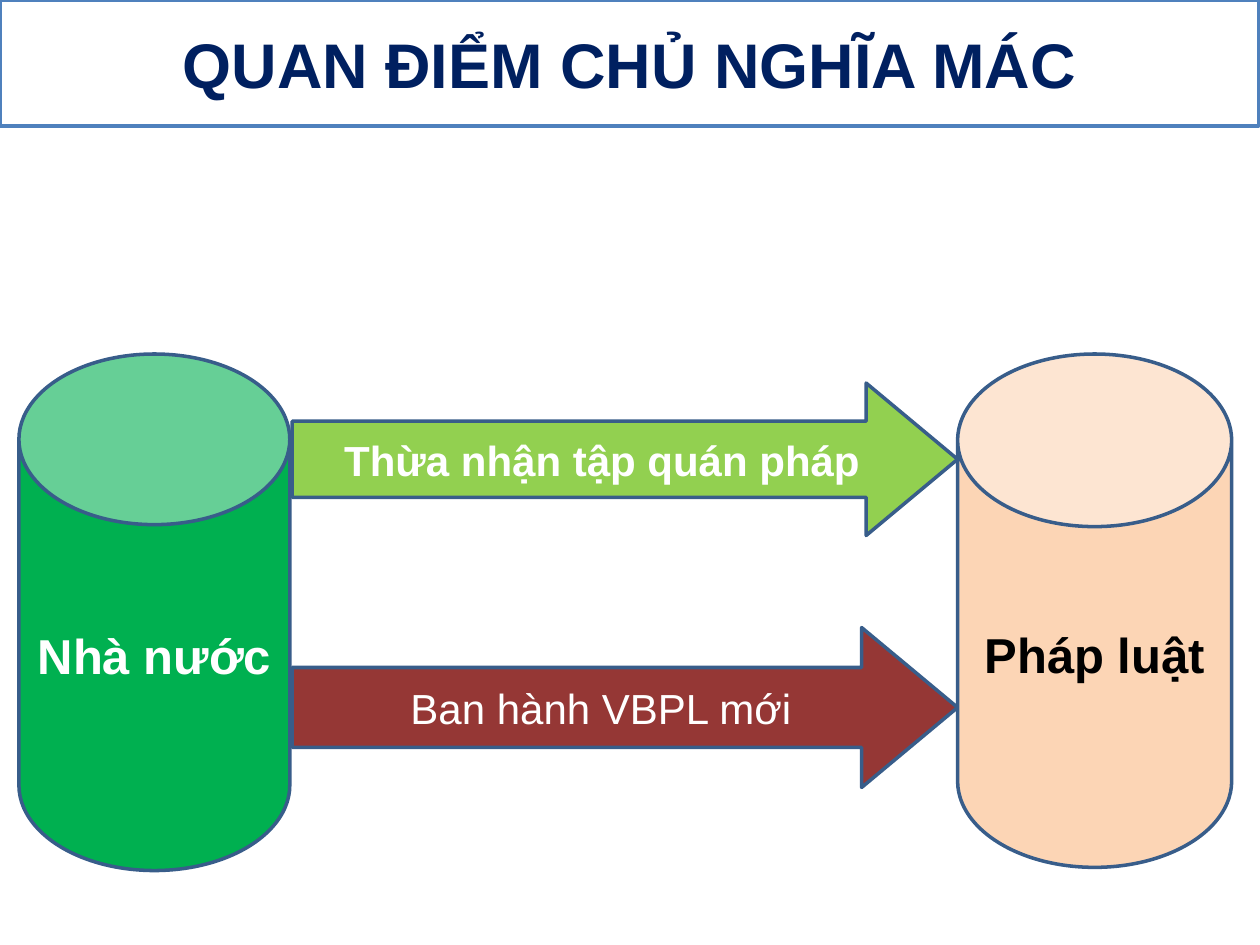
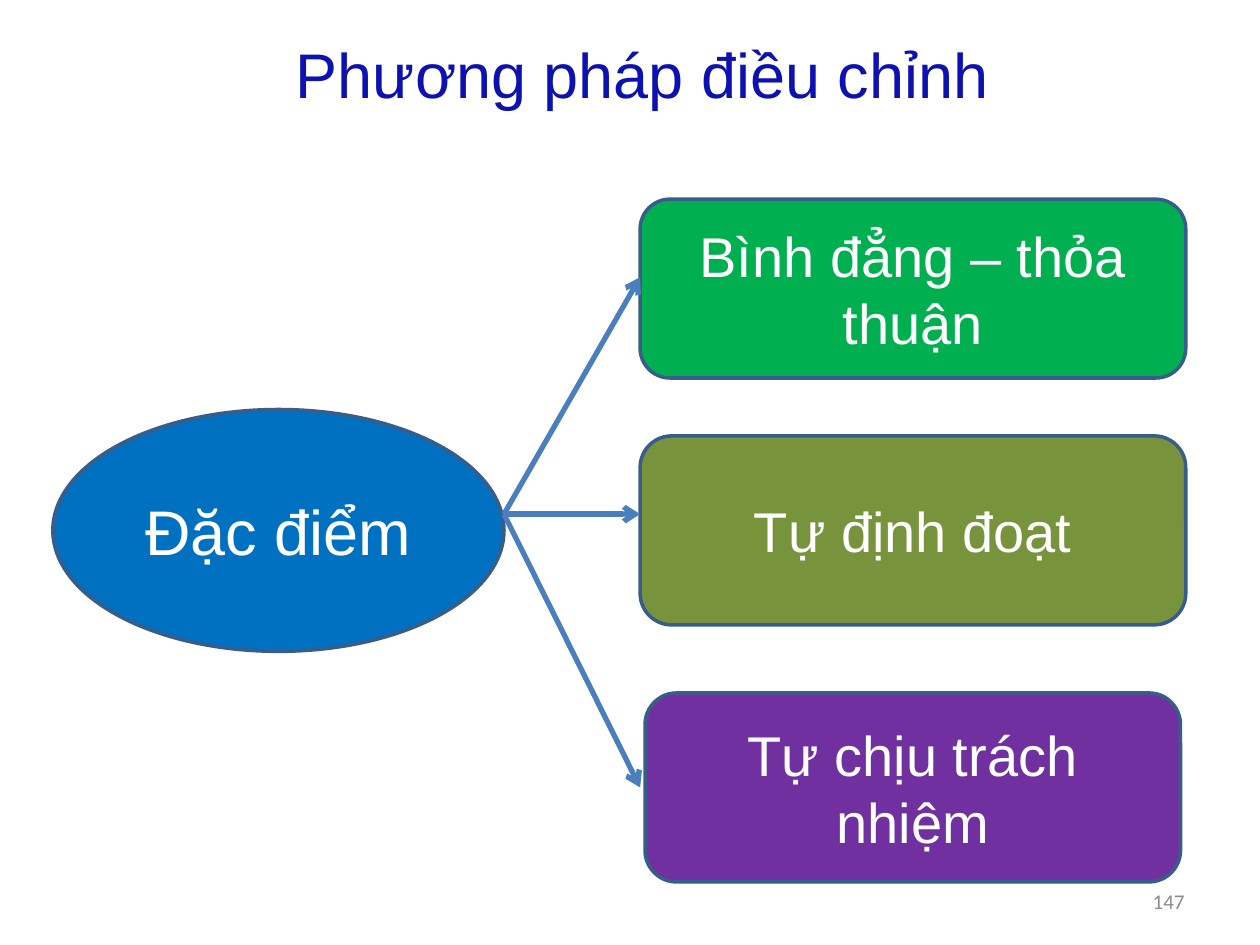
from lxml import etree
from pptx import Presentation
from pptx.dml.color import RGBColor
from pptx.enum.shapes import MSO_CONNECTOR, MSO_SHAPE
from pptx.enum.text import MSO_ANCHOR, PP_ALIGN
from pptx.oxml.ns import qn
from pptx.util import Pt

RECTANGLE = MSO_SHAPE.RECTANGLE
ROUNDED = MSO_SHAPE.ROUNDED_RECTANGLE
ELLIPSE = MSO_SHAPE.OVAL
CYLINDER = MSO_SHAPE.CAN
BLOCK_ARROW = MSO_SHAPE.RIGHT_ARROW
STRAIGHT = MSO_CONNECTOR.STRAIGHT
TOP, MIDDLE = MSO_ANCHOR.TOP, MSO_ANCHOR.MIDDLE
LEFT, CENTER, RIGHT = PP_ALIGN.LEFT, PP_ALIGN.CENTER, PP_ALIGN.RIGHT

COLORS = {
    "white": "FFFFFF", "black": "000000", "navy": "002060", "title": "0D11AF",
    "grey": "8C8C8C", "green": "00B050", "lime": "92D050", "maroon": "953735",
    "peach": "FCD5B5", "blue": "0070C0", "olive": "77933C", "purple": "7030A0",
    "frame": "4F81BD", "outline": "385D8A", "connector": "4B7EBC",
}


def color(name):
    """Return the named palette colour."""
    return RGBColor.from_string(COLORS[name])


def write_text(shape, text, size=32, ink="white", bold=False, font="Arial",
               align=CENTER, anchor=MIDDLE, wrap=True):
    """Write one formatted paragraph into a shape."""
    frame = shape.text_frame
    frame.word_wrap = wrap
    frame.vertical_anchor = anchor
    para = frame.paragraphs[0]
    para.alignment = align
    span = para.add_run()
    span.text = text
    span.font.name = font
    span.font.size = Pt(size)
    span.font.bold = bold
    span.font.color.rgb = color(ink)


def add_block(page, kind, place, text, fill, line="outline", adjust=(), **style):
    """Add a filled, outlined preset shape with its label."""
    block = page.shapes.add_shape(kind, *map(Pt, place))
    block.shadow.inherit = False
    for index, value in enumerate(adjust):
        block.adjustments[index] = value
    block.fill.solid()
    block.fill.fore_color.rgb = color(fill)
    block.line.color.rgb = color(line)
    block.line.width = Pt(2)
    write_text(block, text, **style)


def add_label(page, place, text, **style):
    """Add a plain text box."""
    write_text(page.shapes.add_textbox(*map(Pt, place)), text, **style)


def add_arrow(page, start, end):
    """Add a straight connector with an open arrowhead at its end."""
    arrow = page.shapes.add_connector(STRAIGHT, *map(Pt, start + end))
    arrow.line.color.rgb = color("connector")
    arrow.line.width = Pt(3)
    etree.SubElement(arrow.line._get_or_add_ln(), qn("a:tailEnd"), type="arrow")
    etree.SubElement(arrow._element.spPr, qn("a:effectLst"))


def build_marxist_view(page):
    """Show how the state produces law."""
    for top, height, text, fill, bold in (
            (358.6, 91.4, "Ban hành VBPL mới", "maroon", False),
            (218.9, 87.1, "Thừa nhận tập quán pháp", "lime", True)):
        add_block(page, BLOCK_ARROW, (167, top, 380.2, height), text, fill,
                  adjust=(0.5, 0.6), size=24, bold=bold)
    for left, width, height, text, fill, ink in (
            (10.8, 154.8, 295.2, "Nhà nước", "green", "white"),
            (547.2, 156.6, 293.4, "Pháp luật", "peach", "black")):
        add_block(page, CYLINDER, (left, 202.3, width, height), text, fill,
                  adjust=(0.63,), size=28, ink=ink, bold=True)
    add_block(page, RECTANGLE, (0, 0, 719.3, 72), "QUAN ĐIỂM CHỦ NGHĨA MÁC",
              "white", line="frame", size=36, ink="navy", bold=True)


def build_adjustment_method(page):
    """Show the three features of the adjustment method."""
    hub = (288, 293.8)
    add_block(page, ELLIPSE, (30.2, 234, 257.8, 138.2), "Đặc điểm", "blue", size=36)
    for place, text, fill in (
            ((365.8, 113.8, 311.8, 102.2), "Bình đẳng – thỏa thuận", "green"),
            ((365.8, 249.1, 311.8, 108), "Tự định đoạt", "olive"),
            ((368.6, 396, 306, 108), "Tự chịu trách nhiệm", "purple")):
        add_block(page, ROUNDED, place, text, fill)
    add_label(page, (162, 16.6, 414, 51.1), "Phương pháp điều chỉnh", size=36,
              ink="title", align=LEFT, anchor=TOP, wrap=False)
    for target in (158.4, 293.8, 450):
        add_arrow(page, hub, (365.8, target))
    add_label(page, (516.2, 500.4, 167.8, 28.8), "147", size=12, ink="grey",
              font="Calibri", align=RIGHT)


def main():
    """Build and save the deck."""
    deck = Presentation()
    deck.slide_width, deck.slide_height = Pt(720), Pt(540)
    for build in (build_marxist_view, build_adjustment_method):
        build(deck.slides.add_slide(deck.slide_layouts[6]))
    deck.save("out.pptx")


if __name__ == "__main__":
    main()
